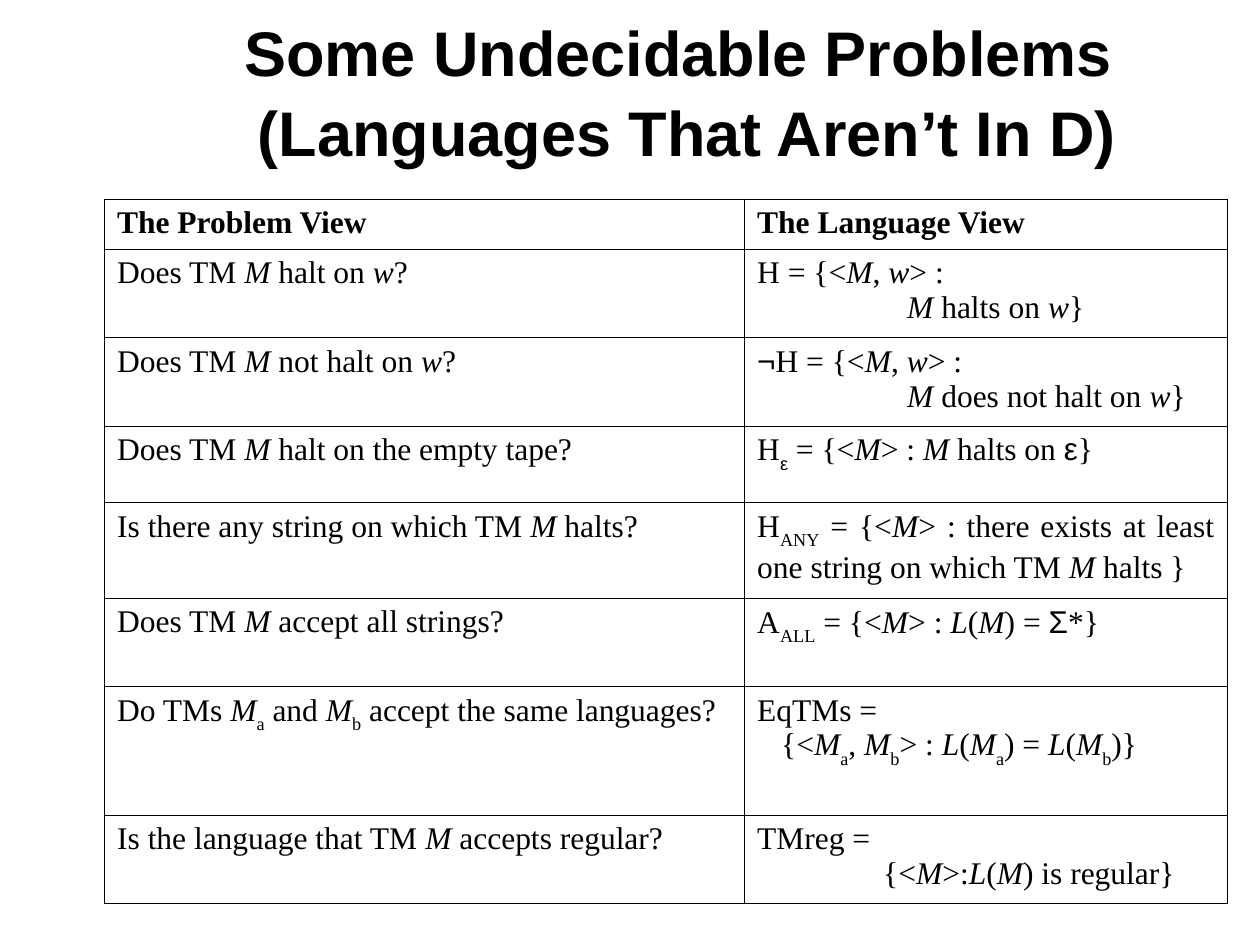
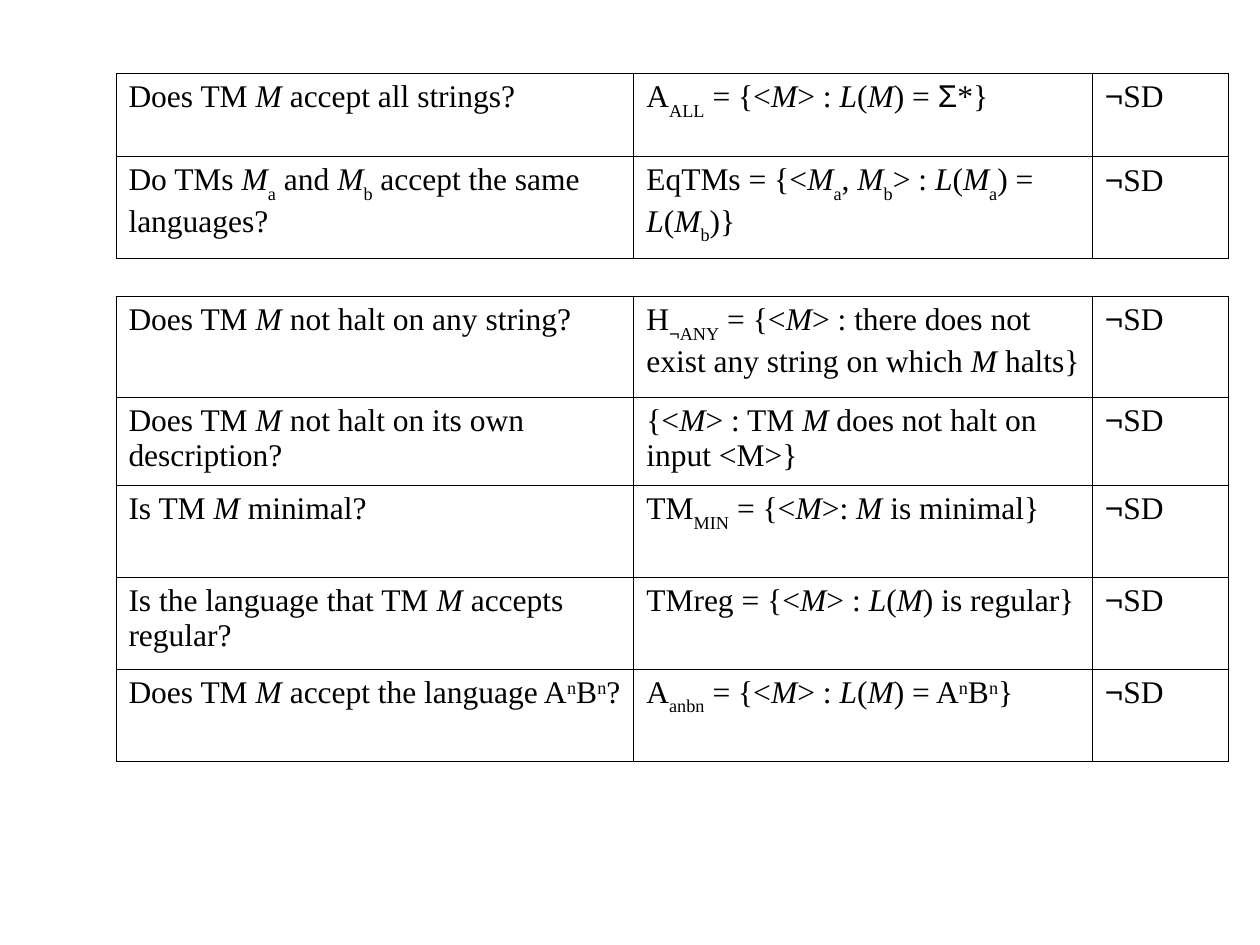
from lxml import etree
from pptx import Presentation
from pptx.dml.color import RGBColor
from pptx.enum.text import MSO_ANCHOR, MSO_AUTO_SIZE, PP_ALIGN
from pptx.oxml.ns import qn
from pptx.util import Inches, Pt

CENTER, LEFT, JUSTIFY = PP_ALIGN.CENTER, PP_ALIGN.LEFT, PP_ALIGN.JUSTIFY
MIDDLE = MSO_ANCHOR.MIDDLE
NO_FIT = MSO_AUTO_SIZE.NONE

# Shared look
COLORS = {"ink": "000000", "rule": "000000"}
HEAD = {"name": "Arial", "size": Pt(36), "bold": True}
BODY = {"name": "Times New Roman", "size": Pt(18), "bold": False, "italic": False}
PLAIN = {"first_row": False, "horz_banding": False}
SYMBOLS = "¬εΣ"
SHIFTS = {"_": "-30000", "^": "30000"}

# Cell text: /italic/, _subscript_, ^superscript^.
# A cell with an indented second line is (first line, indent, second line).
ALL_ASK = "Does TM /M/ accept all strings?"
ALL_SET = "A_ALL_ = {</M/> : /L/(/M/) = Σ*}"
SAME_ASK = "Do TMs /M/_a_ and /M/_b_ accept the same languages?"
SAME_SET = "{</M/_a_, /M/_b_> : /L/(/M/_a_) = /L/(/M/_b_)}"
REG_ASK = "Is the language that TM /M/ accepts regular?"

VIEWS = [
    ("The Problem View", "The Language View"),
    ("Does TM /M/ halt on /w/?",
     ("H = {</M/, /w/> :", 1.19, "/M/ halts on /w/}")),
    ("Does TM /M/ not halt on /w/?",
     ("¬H = {</M/, /w/> :", 1.19, "/M/ does not halt on /w/}")),
    ("Does TM /M/ halt on the empty tape?",
     "H_ε_ = {</M/> : /M/ halts on ε}"),
    ("Is there any string on which TM /M/ halts?",
     "H_ANY_ = {</M/> : there exists at least one string on which TM /M/ halts }"),
    (ALL_ASK, ALL_SET),
    (SAME_ASK, ("EqTMs =", 0.19, SAME_SET)),
    (REG_ASK, ("TMreg =", 1, "{</M/>:/L/(/M/) is regular}")),
]
BASIC = [
    (ALL_ASK, ALL_SET),
    (SAME_ASK, "EqTMs = " + SAME_SET),
]
MORE = [
    ("Does TM /M/ not halt on any string?",
     "H_¬ANY_ = {</M/> : there does not exist any string on which /M/ halts}"),
    ("Does TM /M/ not halt on its own description?",
     "{</M/> : TM /M/ does not halt on input <M>}"),
    ("Is TM /M/ minimal?", "TM_MIN_ = {</M/>: /M/ is minimal}"),
    (REG_ASK, "TMreg = {</M/> : /L/(/M/) is regular}"),
    ("Does TM /M/ accept the language A^n^B^n^?",
     "A_anbn_ = {</M/> : /L/(/M/) = A^n^B^n^}"),
]


def apply(item, values):
    for name, value in values.items():
        setattr(item, name, value)


def style(font, values):
    apply(font, values)
    font.color.rgb = RGBColor.from_string(COLORS["ink"])


def split(text):
    """Return [words, italic, shift, symbol] for each run of the marked text."""
    parts, slant, shift = [], False, None
    for char in text:
        if char == "/":
            slant = not slant
        elif char in SHIFTS:
            shift = None if shift else SHIFTS[char]
        else:
            look = [slant, shift, char in SYMBOLS]
            if parts and parts[-1][1:] == look:
                parts[-1][0] += char
            else:
                parts.append([char, *look])
    return parts


def write(para, text, align, bold):
    para.alignment = align
    for words, slant, shift, symbol in split(text):
        run = para.add_run()
        run.text = words
        face = HEAD["name"] if symbol else BODY["name"]
        style(run.font, {**BODY, "name": face, "italic": slant, "bold": bold})
        if shift:
            run._r.get_or_add_rPr().set("baseline", shift)


def border(cell):
    props = cell._tc.get_or_add_tcPr()
    for side in "LRTB":
        line = etree.SubElement(props, qn("a:ln" + side), w=str(Pt(0.45)))
        fill = etree.SubElement(line, qn("a:solidFill"))
        etree.SubElement(fill, qn("a:srgbClr"), val=COLORS["rule"])


def fill_cell(cell, entry, align, bold):
    border(cell)
    cell.fill.background()
    first, indent, second = entry if isinstance(entry, tuple) else (entry, 0, "")
    frame = cell.text_frame
    write(frame.paragraphs[0], first, align, bold)
    if second:
        para = frame.add_paragraph()
        write(para, second, align, bold)
        para._p.get_or_add_pPr().set("marL", str(Inches(indent)))


def add_grid(slide, rows, spot, widths, heights, align=LEFT, header=False):
    left, top = spot
    box = [Inches(n) for n in (left, top, sum(widths), sum(heights))]
    table = slide.shapes.add_table(len(rows), len(widths), *box).table
    apply(table, PLAIN)
    for col, width in zip(table.columns, widths):
        col.width = Inches(width)
    for r, (row, height) in enumerate(zip(rows, heights)):
        table.rows[r].height = Inches(height)
        for c, entry in enumerate(row):
            fill_cell(table.cell(r, c), entry, align, header and r == 0)


def add_title(slide, text):
    title = slide.shapes.title
    apply(title, {"left": Inches(0.83), "top": Inches(0.25),
                  "width": Inches(9.25), "height": Inches(0.92)})
    frame = title.text_frame
    frame.text = text
    apply(frame, {"vertical_anchor": MIDDLE, "auto_size": NO_FIT, "word_wrap": True})
    para = frame.paragraphs[0]
    apply(para, {"alignment": CENTER, "line_spacing": 1.05})
    for run in para.runs:
        style(run.font, HEAD)


def main():
    deck = Presentation()
    apply(deck, {"slide_width": Inches(10), "slide_height": Inches(7.5)})

    # Problems and their languages
    slide = deck.slides.add_slide(deck.slide_layouts[5])
    add_title(slide, "Some Undecidable Problems \v(Languages That Aren’t In D)")
    add_grid(slide, VIEWS, (0.83, 1.58), (5.08, 3.83),
             (0.4, 0.7, 0.7, 0.61, 0.76, 0.7, 1.02, 0.7), JUSTIFY, header=True)

    # Problems outside SD
    slide = deck.slides.add_slide(deck.slide_layouts[6])
    for rows, top, heights in ((BASIC, 0.58, (0.66, 0.81)),
                               (MORE, 2.35, (0.8, 0.7, 0.73, 0.73, 0.73))):
        rows = [(*row, "¬SD") for row in rows]
        add_grid(slide, rows, (0.92, top), (4.11, 3.64, 1.08), heights)

    deck.save("out.pptx")


if __name__ == "__main__":
    main()
